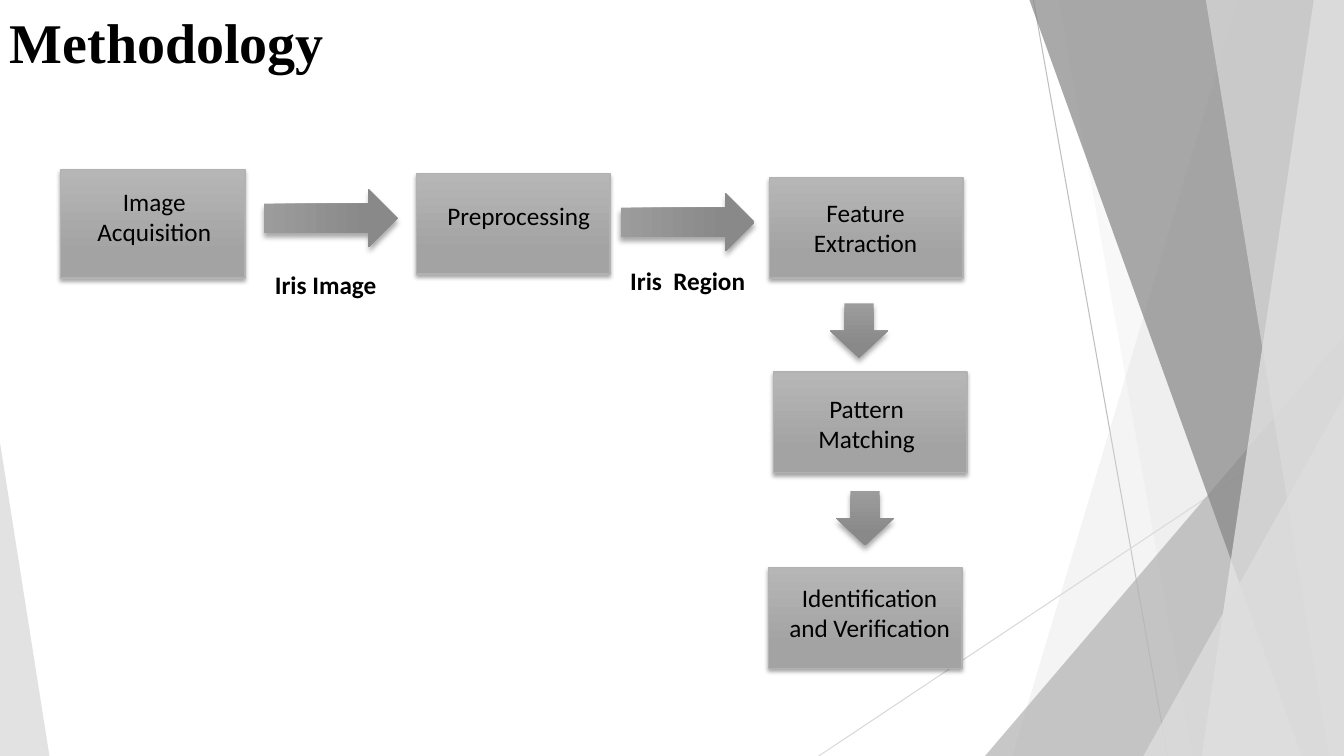
from dataclasses import dataclass

import pptx
import pptx.dml.color
import pptx.enum.shapes
import pptx.enum.text
import pptx.oxml
import pptx.oxml.ns
import pptx.util
from lxml import etree

SHAPES = pptx.enum.shapes.MSO_SHAPE
ALIGN = pptx.enum.text.PP_ALIGN
ANCHOR = pptx.enum.text.MSO_ANCHOR
COLUMNS, ROWS = 13.33, 7.5


@dataclass(frozen=True)
class Theme:
    """Colours, fonts and type sizes of the slide."""
    ink: str = "000000"
    box: tuple = ("B6B6B6", "A3A3A3")
    box_edge: str = "B2B2B2"
    arrow: tuple = ("9C9C9C", "898989")
    shard: str = "DDDDDD"
    shard_mid: str = "B2B2B2"
    shard_dark: str = "858585"
    shard_pale: str = "EBEBEB"
    ray: str = "BFBFBF"
    ray_pale: str = "D9D9D9"
    title_font: str = "Times New Roman"
    body_font: str = "Calibri"
    title_size: int = 40
    body_size: int = 18


@dataclass(frozen=True)
class Area:
    """A rectangle in grid columns and rows."""
    left: float
    top: float
    width: float
    height: float


@dataclass(frozen=True)
class Shard:
    """A panel from a slanted left side to the right slide edge."""
    top_column: float
    bottom_column: float
    colour: str
    opacity: int


@dataclass(frozen=True)
class Wedge:
    """A right-angled triangle standing on the slide's bottom edge."""
    left: float
    width: float
    height: float
    peak: int
    colour: str
    opacity: int


@dataclass(frozen=True)
class Step:
    """A process box and its label area."""
    text: str
    box: Area
    label: Area


@dataclass(frozen=True)
class Arrow:
    """A block arrow, pointing down before its rotation."""
    area: Area
    rotation: int = 0


THEME = Theme()
RAYS = [((10.25, 0), (11.58, ROWS), THEME.ray),
        ((COLUMNS, 4.03), (8.12, ROWS), THEME.ray_pale)]
BACKDROP = [
    Shard(12.28, 10.04, THEME.shard, 30),
    Shard(10.5, 11.83, THEME.shard, 20),
    Wedge(9.77, 3.56, 4.17, 1, THEME.shard_mid, 72),
    Shard(10.21, 12.91, THEME.shard_dark, 70),
    Shard(13.03, 11.92, THEME.shard_pale, 70),
    Shard(11.96, 13.18, THEME.shard, 65),
    Wedge(11.34, 1.99, 3.57, 1, THEME.shard, 80),
    Wedge(0, 0.49, 3.11, 0, THEME.shard, 85),
]
STEPS = [
    Step("Image Acquisition", Area(0.6, 1.68, 1.83, 1.08), Area(0.74, 1.8, 1.58, 0.71)),
    Step("Preprocessing", Area(4.13, 1.72, 1.92, 1), Area(4.23, 1.94, 1.83, 0.71)),
    Step("Feature Extraction", Area(7.63, 1.76, 1.92, 1), Area(7.67, 1.91, 1.83, 0.71)),
    Step("Pattern Matching", Area(7.67, 3.69, 1.92, 1), Area(7.76, 3.85, 1.67, 0.71)),
    Step("Identification and Verification", Area(7.62, 5.63, 1.92, 1),
         Area(7.71, 5.73, 1.83, 0.71)),
]
ARROWS = [
    Arrow(Area(2.99, 1.5, 0.58, 1.33), 270),
    Arrow(Area(6.53, 1.54, 0.58, 1.33), 270),
    Arrow(Area(8.23, 3.01, 0.58, 0.54)),
    Arrow(Area(8.29, 4.87, 0.58, 0.54)),
]
OUTPUTS = [("Iris Image", Area(2.48, 2.62, 1.5, 0.42)),
           ("Iris  Region", Area(6.11, 2.58, 1.42, 0.42))]

deck = pptx.Presentation()
deck.slide_width = pptx.util.Inches(COLUMNS)
deck.slide_height = pptx.util.Inches(ROWS)
slide = deck.slides.add_slide(deck.slide_layouts[6])


def rgb(colour: str) -> pptx.dml.color.RGBColor:
    """Turn a hex string into a colour."""
    return pptx.dml.color.RGBColor.from_string(colour)


def point(column: float, row: float) -> tuple[int, int]:
    """Turn a grid position into slide units."""
    return (round(deck.slide_width * column / COLUMNS),
            round(deck.slide_height * row / ROWS))


def place(area: Area) -> tuple[int, ...]:
    """Give left, top, width and height in slide units."""
    return point(area.left, area.top) + point(area.width, area.height)


def add_child(parent, tag: str, **attributes):
    """Append a drawing element with the given attributes."""
    return etree.SubElement(parent, pptx.oxml.ns.qn(tag),
                            {name: str(value) for name, value in attributes.items()})


def draw_ray(start: tuple, end: tuple, colour: str) -> None:
    """Draw a thin backdrop line."""
    ray = slide.shapes.add_connector(pptx.enum.shapes.MSO_CONNECTOR.STRAIGHT,
                                     *point(*start), *point(*end))
    ray.line.color.rgb = rgb(colour)
    ray.line.width = pptx.util.Pt(0.75)
    add_child(ray._element.spPr, "a:effectLst")


def draw_facet(facet: Shard | Wedge) -> None:
    """Draw one translucent backdrop facet."""
    if isinstance(facet, Shard):
        outline = slide.shapes.build_freeform(*point(facet.top_column, 0), scale=1.0)
        outline.add_line_segments([point(COLUMNS, 0), point(COLUMNS, ROWS),
                                   point(facet.bottom_column, ROWS)], close=True)
        panel = outline.convert_to_shape()
    else:
        area = Area(facet.left, ROWS - facet.height, facet.width, facet.height)
        panel = slide.shapes.add_shape(SHAPES.ISOSCELES_TRIANGLE, *place(area))
        panel.adjustments[0] = facet.peak
    panel.shadow.inherit = False
    panel.fill.solid()
    panel.fill.fore_color.rgb = rgb(facet.colour)
    panel.line.fill.background()
    tint = panel._element.spPr.find(".//" + pptx.oxml.ns.qn("a:srgbClr"))
    add_child(tint, "a:alpha", val=facet.opacity * 1000)


def draw_block(kind, area: Area, shades: tuple, blur: int, drop: int,
               edge: str | None = None, rotation: int = 0) -> None:
    """Draw a flowchart block with a gradient and a soft shadow."""
    block = slide.shapes.add_shape(kind, *place(area))
    block.rotation = rotation
    block.fill.gradient()
    block.fill.gradient_angle = 270
    for stop, shade, position in zip(block.fill.gradient_stops, shades, (0, 0.78)):
        stop.color.rgb = rgb(shade)
        stop.position = position
    if edge:
        block.line.color.rgb = rgb(edge)
        block.line.width = pptx.util.Pt(1)
    else:
        block.line.fill.background()
    block.shadow.inherit = False
    effects = block._element.spPr.find(pptx.oxml.ns.qn("a:effectLst"))
    shadow = add_child(effects, "a:outerShdw", blurRad=pptx.util.Pt(blur),
                       dist=pptx.util.Pt(drop), dir=90 * 60000, rotWithShape=0)
    add_child(add_child(shadow, "a:srgbClr", val=THEME.ink), "a:alpha", val=35000)


def write(text: str, area: Area, *, size: int = THEME.body_size,
          font: str = THEME.body_font, bold: bool = False,
          align=ALIGN.CENTER, anchor=ANCHOR.TOP) -> None:
    """Write wrapped text in an area."""
    frame = slide.shapes.add_textbox(*place(area)).text_frame
    frame.word_wrap = True
    frame.vertical_anchor = anchor
    paragraph = frame.paragraphs[0]
    paragraph.alignment = align
    run = paragraph.add_run()
    run.text = text
    run.font.size = pptx.util.Pt(size)
    run.font.name = font
    run.font.bold = bold
    run.font.color.rgb = rgb(THEME.ink)


for ray_start, ray_end, ray_colour in RAYS:
    draw_ray(ray_start, ray_end, ray_colour)
for backdrop_facet in BACKDROP:
    draw_facet(backdrop_facet)
write("Methodology", Area(0, -0.07, 9.4, 0.86), size=THEME.title_size,
      font=THEME.title_font, bold=True, align=ALIGN.LEFT, anchor=ANCHOR.BOTTOM)
for step in STEPS:
    draw_block(SHAPES.RECTANGLE, step.box, THEME.box, 3, 2, edge=THEME.box_edge)
    write(step.text, step.label)
for arrow in ARROWS:
    draw_block(SHAPES.DOWN_ARROW, arrow.area, THEME.arrow, 4, 3, rotation=arrow.rotation)
for output, output_area in OUTPUTS:
    write(output, output_area, bold=True)

deck.save("out.pptx")
